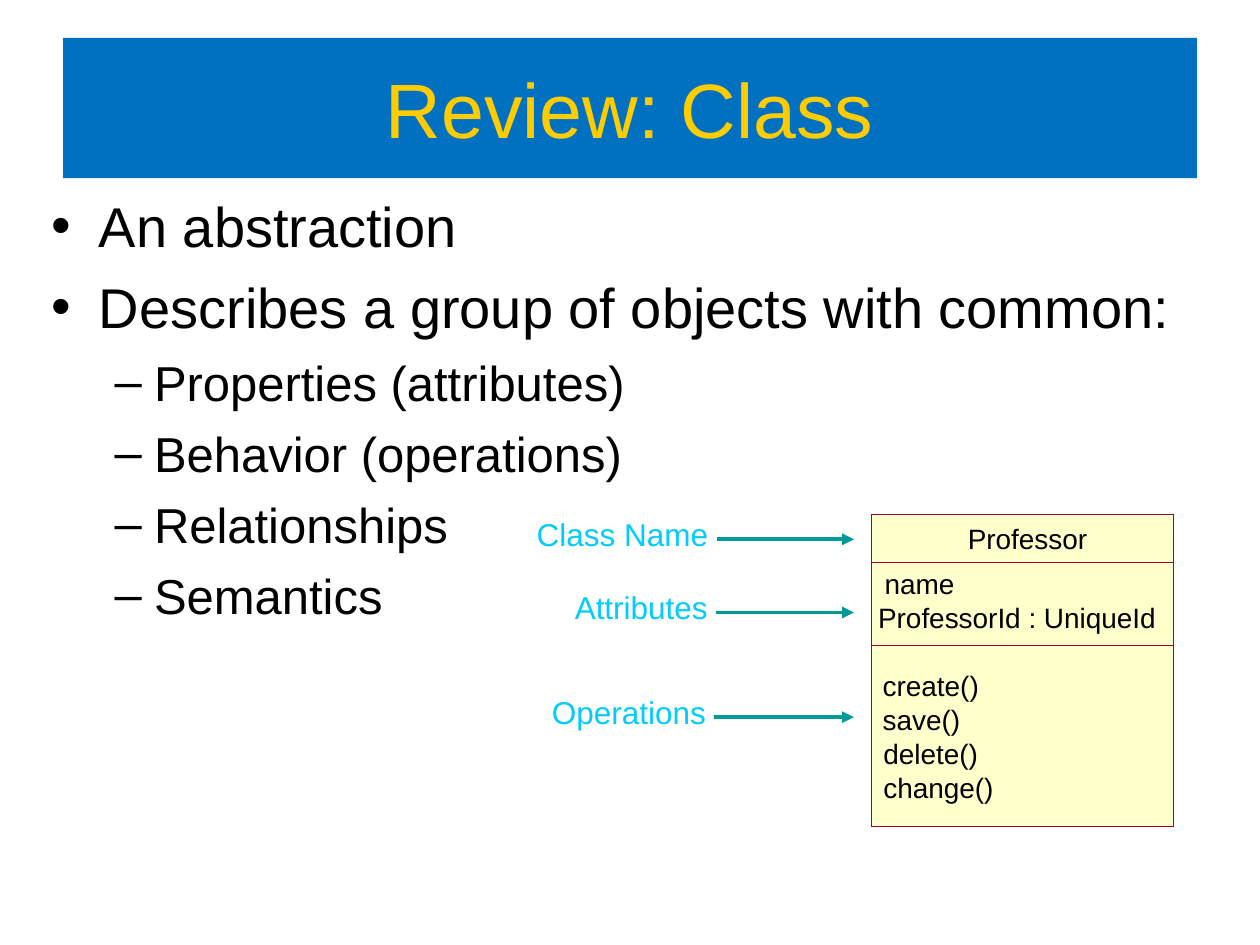
from lxml.etree import SubElement
from pptx import Presentation
from pptx.dml.color import RGBColor
from pptx.enum.shapes import MSO_CONNECTOR, MSO_SHAPE
from pptx.enum.text import MSO_ANCHOR, MSO_AUTO_SIZE, PP_ALIGN
from pptx.oxml.ns import qn
from pptx.util import Pt

BLACK = RGBColor(0x00, 0x00, 0x00)
TITLE_BLUE = RGBColor(0x00, 0x70, 0xC0)
TITLE_GOLD = RGBColor(0xFF, 0xCC, 0x00)
LABEL_CYAN = RGBColor(0x00, 0xCC, 0xFF)
ARROW_TEAL = RGBColor(0x00, 0x99, 0x99)
CLASS_YELLOW = RGBColor(0xFF, 0xFF, 0xCC)
CLASS_RED = RGBColor(0x99, 0x00, 0x33)


def add_run(paragraph, text, size, color):
    run = paragraph.add_run()
    run.text = text
    run.font.name = "Arial"
    run.font.size = Pt(size)
    run.font.color.rgb = color


def add_label(left, top, width, height, text, size, color, inset_x=0, inset_y=0):
    """Add a one-line text box with equal insets on opposite sides."""
    box = slide.shapes.add_textbox(Pt(left), Pt(top), Pt(width), Pt(height))
    frame = box.text_frame
    frame.word_wrap = False
    frame.margin_left = frame.margin_right = Pt(inset_x)
    frame.margin_top = frame.margin_bottom = Pt(inset_y)
    add_run(frame.paragraphs[0], text, size, color)


prs = Presentation()
prs.slide_width, prs.slide_height = Pt(720), Pt(540)
slide = prs.slides.add_slide(prs.slide_layouts[1])

# Title
title = slide.shapes.title
title.left, title.top, title.width, title.height = Pt(36), Pt(21.6), Pt(648), Pt(80.2)
title.fill.solid()
title.fill.fore_color.rgb = TITLE_BLUE
title.text_frame.auto_size = MSO_AUTO_SIZE.NONE
title.text_frame.vertical_anchor = MSO_ANCHOR.MIDDLE
heading = title.text_frame.paragraphs[0]
heading.alignment = PP_ALIGN.CENTER
add_run(heading, "Review: Class", 44, TITLE_GOLD)

# Bullet list
body = slide.placeholders[1]
body.left, body.top, body.width, body.height = Pt(22.3), Pt(105.8), Pt(668), Pt(276.5)
body.text_frame.auto_size = MSO_AUTO_SIZE.NONE
# level: (size, space before, left margin, hanging indent)
LEVELS = [(32, 8, 27, -27), (28, 7, 58.5, -22.5)]
points = [
    (0, "An abstraction"),
    (0, "Describes a group of objects with common:"),
    (1, "Properties (attributes)"),
    (1, "Behavior (operations)"),
    (1, "Relationships"),
    (1, "Semantics"),
]
for i, (level, text) in enumerate(points):
    size, space, margin, indent = LEVELS[level]
    point = body.text_frame.add_paragraph() if i else body.text_frame.paragraphs[0]
    point.level = level
    point.space_before = Pt(space if i else 0)
    properties = point._p.get_or_add_pPr()
    properties.set("marL", str(Pt(margin)))
    properties.set("indent", str(Pt(indent)))
    add_run(point, text, size, BLACK)

# Labels with arrows pointing at the class compartments
ARROW_END = 488
for text, left, top, width, arrow_start in [
    ("Class Name", 298, 290.2, 116.6, 409.9),
    ("Attributes", 319.8, 332, 95, 408.9),
    ("Operations", 306.8, 391.8, 108, 408),
]:
    add_label(left, top, width, 30, text, 18, LABEL_CYAN, 8.64, 4)
    arrow_y = Pt(top + 18)
    arrow = slide.shapes.add_connector(
        MSO_CONNECTOR.STRAIGHT, Pt(arrow_start), arrow_y, Pt(ARROW_END), arrow_y)
    arrow.line.color.rgb = ARROW_TEAL
    arrow.line.width = Pt(2.25)
    SubElement(arrow.line._get_or_add_ln(), qn("a:tailEnd"), type="triangle")
    SubElement(arrow._element.spPr, qn("a:effectLst"))

# Class box: each compartment outline runs down to the common bottom edge
CLASS_TOP, CLASS_BOTTOM = 294, 472.5
for top in (CLASS_TOP, 321.3, 369):
    compartment = slide.shapes.add_shape(
        MSO_SHAPE.RECTANGLE, Pt(497.9), Pt(top), Pt(172.6), Pt(CLASS_BOTTOM - top))
    compartment.shadow.inherit = False
    compartment.line.color.rgb = CLASS_RED
    compartment.line.width = Pt(0)
    if top == CLASS_TOP:
        compartment.fill.solid()
        compartment.fill.fore_color.rgb = CLASS_YELLOW
    else:
        compartment.fill.background()

# Class contents: each group starts at its own top and steps by one line
LINE_STEP = 19.4
for top, members in [
    (298.2, [("Professor", 553, 70)]),
    (324, [("name", 505.5, 42), ("ProfessorId : UniqueId", 501.8, 161)]),
    (382.3, [("create()", 504.4, 58), ("save()", 504.4, 47),
             ("delete()", 504.8, 58), ("change()", 504.8, 66)]),
]:
    for i, (text, left, width) in enumerate(members):
        add_label(left, top + i * LINE_STEP, width, LINE_STEP, text, 16, BLACK)

prs.save("out.pptx")
